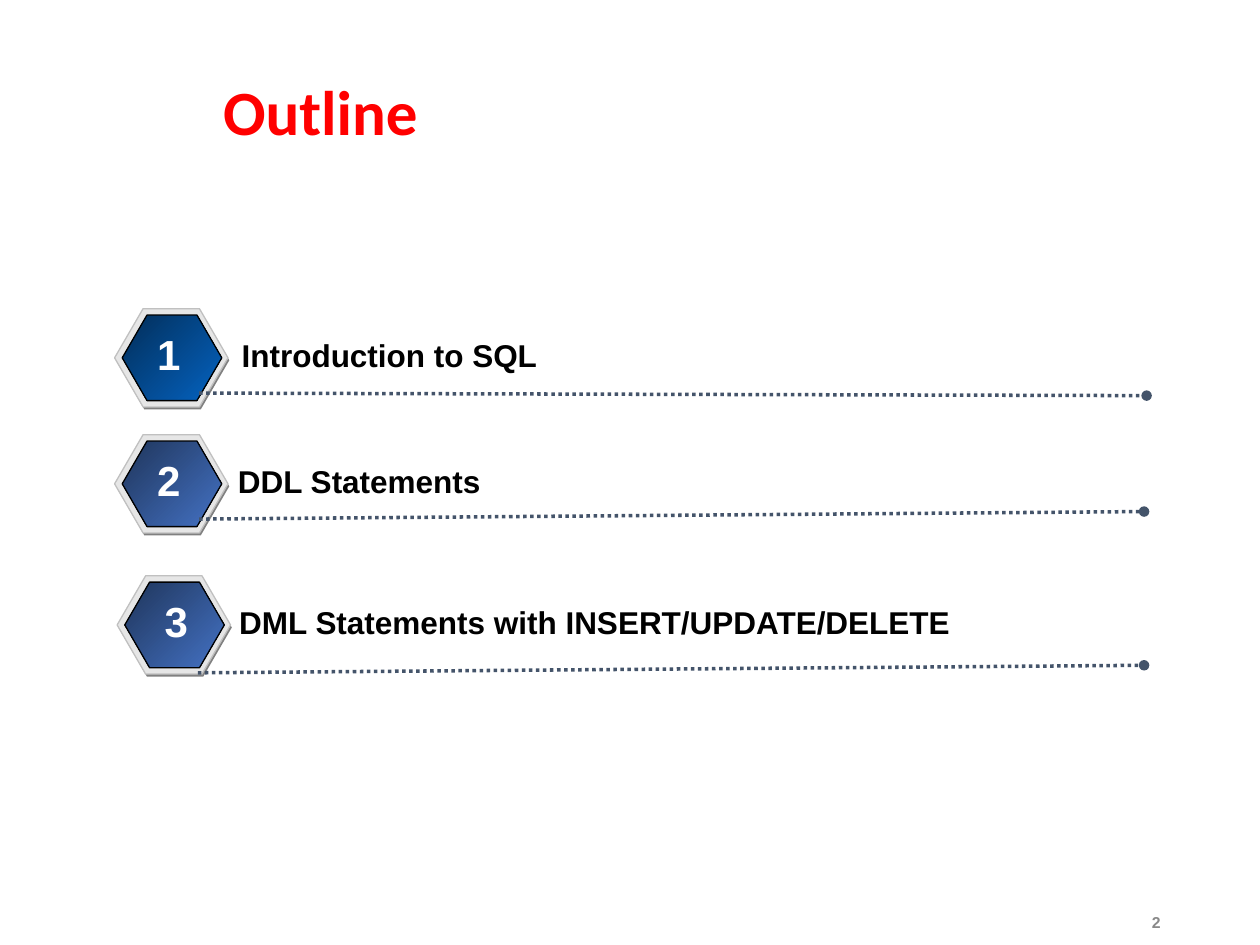
import pptx
import pptx.dml.color
import pptx.enum.dml
import pptx.enum.shapes
import pptx.enum.text
import pptx.oxml
import pptx.oxml.ns
import pptx.util
from pptx.util import Inches

RGBColor = pptx.dml.color.RGBColor
PP_ALIGN = pptx.enum.text.PP_ALIGN
MSO_ANCHOR = pptx.enum.text.MSO_ANCHOR

RED = RGBColor(0xFF, 0x00, 0x00)
BLACK = RGBColor(0x00, 0x00, 0x00)
WHITE = RGBColor(0xFF, 0xFF, 0xFF)
SHADE = RGBColor(0x80, 0x80, 0x80)
RIM = RGBColor(0xE6, 0xE6, 0xE6)
RIM_EDGE = RGBColor(0xC0, 0xC0, 0xC0)
RULE = RGBColor(0x44, 0x54, 0x6A)
PAGE_GREY = RGBColor(0x89, 0x89, 0x89)
DEEP_BLUE = (RGBColor(0x02, 0x2E, 0x59), RGBColor(0x05, 0x63, 0xC1))
SOFT_BLUE = (RGBColor(0x1F, 0x35, 0x5B), RGBColor(0x44, 0x72, 0xC4))

ITEMS = [
    dict(text="Introduction to SQL", left=0.91, top=2.45, blues=DEEP_BLUE,
         label_left=1.82, number_left=1.13, rule=(1.58, 3.12, 9.1, 3.14)),
    dict(text="DDL Statements", left=0.91, top=3.45, blues=SOFT_BLUE,
         label_left=1.79, number_left=1.13, rule=(1.58, 4.12, 9.08, 4.06)),
    dict(text="DML Statements with INSERT/UPDATE/DELETE", left=0.93, top=4.57, blues=SOFT_BLUE,
         label_left=1.8, number_left=1.19, rule=(1.57, 5.34, 9.08, 5.28)),
]


def write(tf, text, size, color, font="Arial", align=PP_ALIGN.LEFT, anchor=MSO_ANCHOR.TOP):
    """Put one bold formatted line of text in a text frame."""
    tf.word_wrap = True
    tf.vertical_anchor = anchor
    p = tf.paragraphs[0]
    p.alignment = align
    r = p.add_run()
    r.text = text
    r.font.name = font
    r.font.size = pptx.util.Pt(size)
    r.font.bold = True
    r.font.color.rgb = color
    return p


def add_text(s, left, top, width, height, text, **fmt):
    """Add a text box with one line of text."""
    sp = s.shapes.add_textbox(Inches(left), Inches(top), Inches(width), Inches(height))
    write(sp.text_frame, text, **fmt)
    return sp


def add_hexagon(shapes, left, top, width, height, fill, edge=None):
    """Add a regular hexagon with a solid fill or a pair of gradient colours."""
    sp = shapes.add_shape(pptx.enum.shapes.MSO_SHAPE.HEXAGON,
                          Inches(left), Inches(top), Inches(width), Inches(height))
    sp.shadow.inherit = False
    sp.adjustments[0] = 0.29
    if isinstance(fill, RGBColor):
        sp.fill.solid()
        sp.fill.fore_color.rgb = fill
    else:
        sp.fill.gradient()
        sp.fill.gradient_angle = 315
        for stop, color, position in zip(sp.fill.gradient_stops, fill, (0, 1)):
            stop.color.rgb = color
            stop.position = position
    if edge is None:
        sp.line.fill.background()
    else:
        sp.line.color.rgb = edge
        sp.line.width = pptx.util.Pt(0.75)


def add_badge(s, left, top, blues):
    """Group the shade, rim and face of one hexagonal badge."""
    group = s.shapes.add_group_shape()
    add_hexagon(group.shapes, left + 0.01, top + 0.02, 0.9, 0.78, SHADE)
    add_hexagon(group.shapes, left, top, 0.9, 0.78, RIM, RIM_EDGE)
    add_hexagon(group.shapes, left + 0.06, top + 0.05, 0.79, 0.68, blues, BLACK)


def add_rule(s, x1, y1, x2, y2):
    """Add a dotted line that ends in a round dot."""
    line = s.shapes.add_connector(pptx.enum.shapes.MSO_CONNECTOR.STRAIGHT,
                                  Inches(x1), Inches(y1), Inches(x2), Inches(y2))
    line.line.color.rgb = RULE
    line.line.width = pptx.util.Pt(2)
    line.line.dash_style = pptx.enum.dml.MSO_LINE.ROUND_DOT
    ln = line.line._get_or_add_ln()
    tail = pptx.oxml.parse_xml(f'<a:tailEnd {pptx.oxml.ns.nsdecls("a")} type="oval"/>')
    ln.append(tail)
    ln.addnext(pptx.oxml.parse_xml(f'<a:effectLst {pptx.oxml.ns.nsdecls("a")}/>'))


def add_item(s, number, text, left, top, blues, label_left, number_left, rule):
    """Add one numbered outline row."""
    add_badge(s, left, top, blues)
    add_rule(s, *rule)
    add_text(s, label_left, top + 0.17, 7.2, 0.4, text, size=18, color=BLACK)
    add_text(s, number_left, top + 0.11, 0.42, 0.5, str(number),
             size=24, color=WHITE, align=PP_ALIGN.CENTER)


def add_title(s, left, top, width, height, text):
    """Place and format the title placeholder."""
    sp = s.shapes.title
    sp.left, sp.top, sp.width, sp.height = map(Inches, (left, top, width, height))
    p = write(sp.text_frame, text, size=36, color=RED, font="Calibri", anchor=MSO_ANCHOR.MIDDLE)
    p.line_spacing = 0.9


def main():
    """Build the outline slide."""
    prs = pptx.Presentation()
    prs.slide_width, prs.slide_height = Inches(10), Inches(7.5)
    s = prs.slides.add_slide(prs.slide_layouts[5])
    add_title(s, 1.67, 0.4, 7.64, 1.03, "Outline")
    for number, item in enumerate(ITEMS, start=1):
        add_item(s, number, **item)
    add_text(s, 7.06, 7.14, 2.25, 0.36, "2", size=9, color=PAGE_GREY,
             align=PP_ALIGN.RIGHT, anchor=MSO_ANCHOR.MIDDLE)
    prs.save("out.pptx")


if __name__ == "__main__":
    main()
